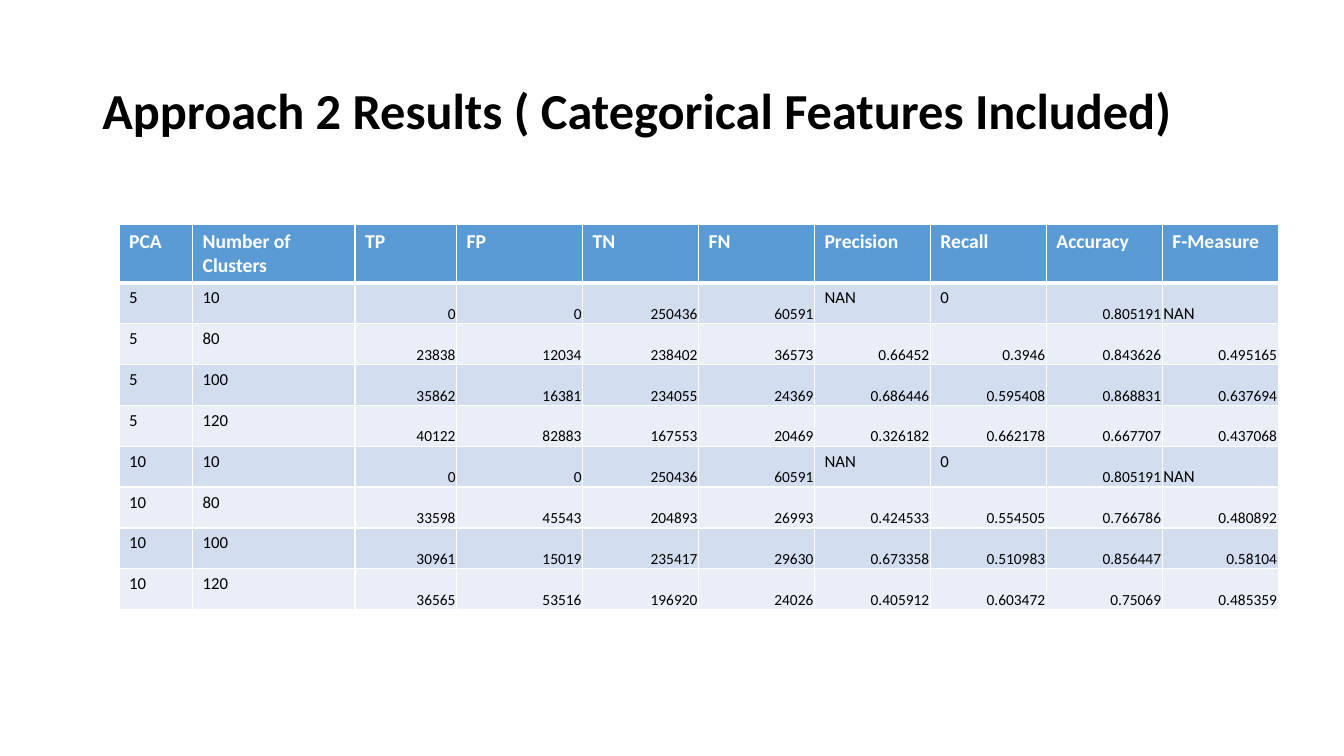
from dataclasses import dataclass

from lxml import etree
from pptx import Presentation
from pptx.dml.color import RGBColor
from pptx.enum.text import MSO_ANCHOR, PP_ALIGN
from pptx.oxml.ns import qn
from pptx.util import Pt

LEFT, RIGHT = PP_ALIGN.LEFT, PP_ALIGN.RIGHT
TOP, MIDDLE, BOTTOM = MSO_ANCHOR.TOP, MSO_ANCHOR.MIDDLE, MSO_ANCHOR.BOTTOM
TITLE_ONLY = 5


@dataclass(frozen=True)
class Theme:
    """Colours, font and type sizes of the slide."""
    font: str = "Calibri"
    ink: str = "000000"
    white: str = "FFFFFF"
    header: str = "5B9BD5"
    bands: tuple = ("D2DEEF", "EAEFF7")
    title_size: float = 36
    header_size: float = 14
    label_size: float = 12
    value_size: float = 11


THEME = Theme()
HEADINGS = ("PCA", "Number of Clusters", "TP", "FP", "TN", "FN",
            "Precision", "Recall", "Accuracy", "F-Measure")
RESULTS = (
    "5 10 0 0 250436 60591 NAN 0 0.805191 NAN",
    "5 80 23838 12034 238402 36573 0.66452 0.3946 0.843626 0.495165",
    "5 100 35862 16381 234055 24369 0.686446 0.595408 0.868831 0.637694",
    "5 120 40122 82883 167553 20469 0.326182 0.662178 0.667707 0.437068",
    "10 10 0 0 250436 60591 NAN 0 0.805191 NAN",
    "10 80 33598 45543 204893 26993 0.424533 0.554505 0.766786 0.480892",
    "10 100 30961 15019 235417 29630 0.673358 0.510983 0.856447 0.58104",
    "10 120 36565 53516 196920 24026 0.405912 0.603472 0.75069 0.485359",
)
COLUMN_WIDTHS = (52.6, 116, 72.6, 90) + (82.8,) * 6
ROW_HEIGHT = 29.2


def add_run(p, text, size, color, bold=False):
    """Add one formatted run to a paragraph."""
    r = p.add_run()
    r.text = text
    r.font.name = THEME.font
    r.font.size = Pt(size)
    r.font.bold = bold
    r.font.color.rgb = RGBColor.from_string(color)


def set_borders(cell, top=1, bottom=1):
    """Draw white lines around a table cell."""
    tc_pr = cell._tc.get_or_add_tcPr()
    for side, width in (("L", 1), ("R", 1), ("T", top), ("B", bottom)):
        ln = etree.SubElement(tc_pr, qn(f"a:ln{side}"), w=str(Pt(width)))
        fill = etree.SubElement(ln, qn("a:solidFill"))
        etree.SubElement(fill, qn("a:srgbClr"), val=THEME.white)


def fill_cell(cell, text, size, color, fill, bold=False, align=LEFT):
    """Write and colour a table cell."""
    cell.fill.solid()
    cell.fill.fore_color.rgb = RGBColor.from_string(fill)
    p = cell.text_frame.paragraphs[0]
    p.alignment = align
    add_run(p, text, size, color, bold)


def sink_cell(cell):
    """Set a cell's text tight against its bottom edge."""
    cell.vertical_anchor = BOTTOM
    cell.margin_left = cell.margin_right = cell.margin_top = Pt(0.75)
    cell.margin_bottom = Pt(0)


def add_title(s, text, x, y, w, h):
    """Place the slide title in its placeholder."""
    sp = s.shapes.title
    sp.left, sp.top, sp.width, sp.height = Pt(x), Pt(y), Pt(w), Pt(h)
    tf = sp.text_frame
    tf.word_wrap = True
    tf.vertical_anchor = MIDDLE
    p = tf.paragraphs[0]
    p.alignment = LEFT
    p.line_spacing = 0.9
    add_run(p, text, THEME.title_size, THEME.ink, bold=True)


def add_results_table(s, x, y, w):
    """Place the table of clustering results."""
    rows = len(RESULTS) + 1
    table = s.shapes.add_table(rows, len(HEADINGS), Pt(x), Pt(y), Pt(w),
                               Pt(rows * ROW_HEIGHT)).table
    scale = w / sum(COLUMN_WIDTHS)
    for column, width in zip(table.columns, COLUMN_WIDTHS):
        column.width = Pt(width * scale)
    for row in table.rows:
        row.height = Pt(ROW_HEIGHT)
    for j, heading in enumerate(HEADINGS):
        cell = table.cell(0, j)
        set_borders(cell, bottom=3)
        fill_cell(cell, heading, THEME.header_size, THEME.white,
                  THEME.header, bold=True)
    for i, result in enumerate(RESULTS):
        values = result.split()
        undefined = "NAN" in values
        for j, (heading, value) in enumerate(zip(HEADINGS, values)):
            cell = table.cell(i + 1, j)
            set_borders(cell, top=3 if i == 0 else 1)
            is_label = j < 2 or undefined and heading in ("Precision", "Recall")
            is_text = is_label or value == "NAN"
            fill_cell(cell, value,
                      THEME.label_size if is_text else THEME.value_size,
                      THEME.ink, THEME.bands[i % 2],
                      align=LEFT if is_text else RIGHT)
            if is_label:
                cell.vertical_anchor = TOP
            else:
                sink_cell(cell)


def build_results_slide(prs):
    """Build the slide with the title and the results table."""
    s = prs.slides.add_slide(prs.slide_layouts[TITLE_ONLY])
    add_title(s, "Approach 2 Results ( Categorical Features Included)",
              66, 28.8, 828, 104.4)
    add_results_table(s, 85, 160.6, 828)


prs = Presentation()
prs.slide_width, prs.slide_height = Pt(960), Pt(540)
build_results_slide(prs)
prs.save("out.pptx")
